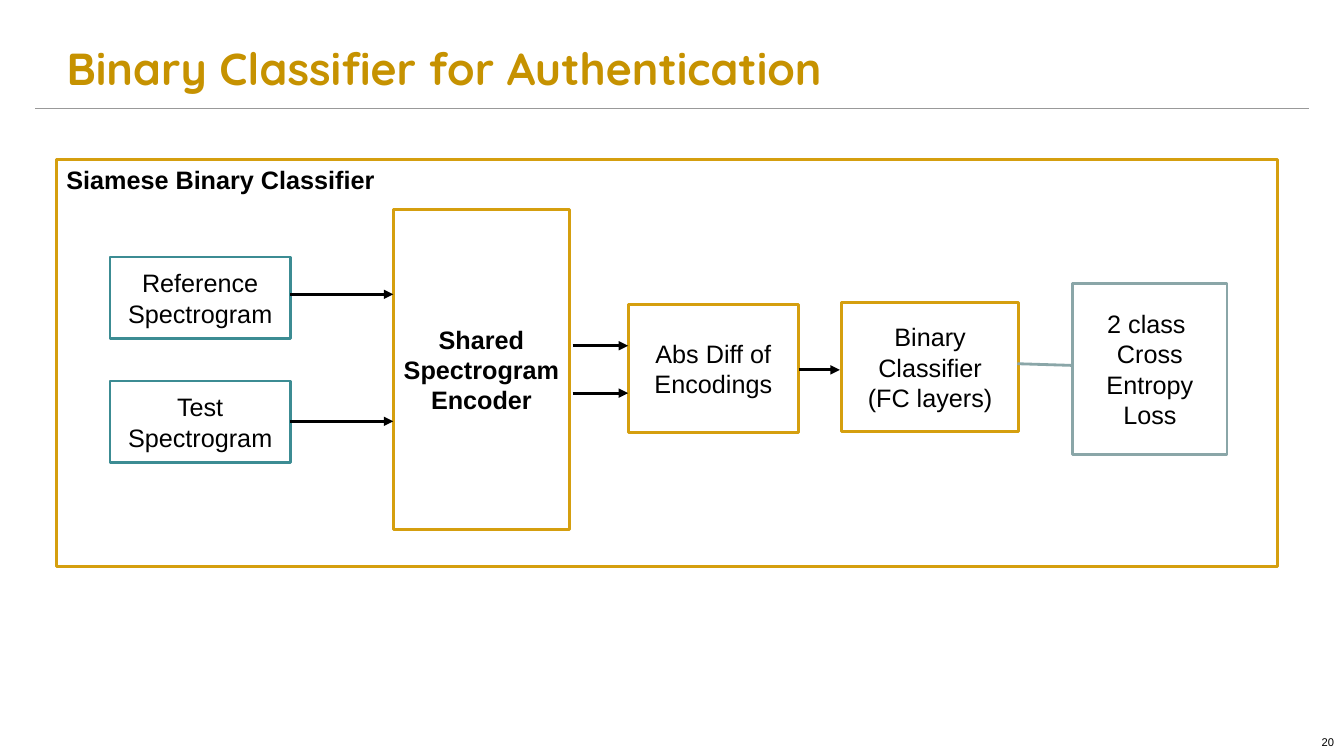
from collections import namedtuple
from dataclasses import dataclass

from lxml import etree
from pptx import Presentation
from pptx import util as u
from pptx.dml.color import RGBColor
from pptx.enum import shapes, text
from pptx.oxml.ns import qn

PX = u.Inches(1) // 100
Box = namedtuple("Box", "left top width height")


@dataclass(frozen=True)
class Theme:
    heading_font: str = "Quicksand"
    body_font: str = "Arial"
    heading: str = "C69200"
    ink: str = "000000"
    paper: str = "FFFFFF"
    rule: str = "999999"
    gold: str = "D59F0F"
    teal: str = "3C8C93"
    grey: str = "8AA6A8"
    heading_size: int = 32
    label_size: int = 18
    number_size: int = 8
    rule_width: float = 0.75
    outline_width: float = 2
    arrow_width: float = 2.25


THEME = Theme()


def colour(code):
    return RGBColor.from_string(code)


def emu(box):
    return [u.Emu(length * PX) for length in box]


def inside(outer, left, top, width, height):
    """Turn a place measured from the corner of outer into a place on the page."""
    return Box(outer.left + left, outer.top + top, width, height)


def write(frame, lines, size, bold=False, align=text.PP_ALIGN.LEFT,
          anchor=text.MSO_ANCHOR.TOP, font=THEME.body_font, ink=THEME.ink, side=10):
    frame.word_wrap = True
    frame.vertical_anchor = anchor
    frame.margin_left = frame.margin_right = u.Emu(side * PX)
    frame.margin_top = frame.margin_bottom = u.Emu(5 * PX)
    for index, line in enumerate(lines):
        para = frame.add_paragraph() if index else frame.paragraphs[0]
        para.alignment = align
        span = para.add_run()
        span.text = line
        span.font.name = font
        span.font.size = u.Pt(size)
        span.font.bold = bold
        span.font.color.rgb = colour(ink)


def outlined(page, box, outline, fill=None, kind=shapes.MSO_SHAPE.RECTANGLE):
    shape = page.shapes.add_shape(kind, *emu(box))
    shape.shadow.inherit = False
    if fill:
        shape.fill.solid()
        shape.fill.fore_color.rgb = colour(fill)
    else:
        shape.fill.background()
    shape.line.color.rgb = colour(outline)
    shape.line.width = u.Pt(THEME.outline_width)
    return shape


def node(page, box, lines, outline, bold=False, kind=shapes.MSO_SHAPE.RECTANGLE):
    shape = outlined(page, box, outline, THEME.paper, kind)
    write(shape.text_frame, lines, THEME.label_size, bold,
          text.PP_ALIGN.CENTER, text.MSO_ANCHOR.MIDDLE, side=8)
    return shape


def level_line(page, start, end, y, ink, width, arrow=False):
    line = page.shapes.add_connector(
        shapes.MSO_CONNECTOR.STRAIGHT, *emu((start, y, end, y)))
    line.line.color.rgb = colour(ink)
    line.line.width = u.Pt(width)
    if arrow:
        etree.SubElement(line.line._get_or_add_ln(), qn("a:tailEnd"), type="triangle")
    etree.SubElement(line._element.spPr, qn("a:effectLst"))


def header(page, box):
    level_line(page, box.left, box.left + box.width, box.top + box.height,
               THEME.rule, THEME.rule_width)
    title = page.shapes.title
    title.left, title.top, title.width, title.height = emu(inside(box, 21, 0, 1211, 64))
    write(title.text_frame, ["Binary Classifier for Authentication"],
          THEME.heading_size, True, anchor=text.MSO_ANCHOR.MIDDLE,
          font=THEME.heading_font, ink=THEME.heading)


def classifier_diagram(page, box):
    frame = outlined(page, box, THEME.gold)
    write(frame.text_frame, ["Siamese Binary Classifier"], THEME.label_size, True)

    node(page, inside(box, 334, 50, 175, 317),
         ["Shared", "Spectrogram Encoder"], THEME.gold, bold=True)
    for name, top in (("Reference", 97), ("Test", 220)):
        node(page, inside(box, 53, top, 179, 81), [name, "Spectrogram"], THEME.teal)
    node(page, inside(box, 567, 144, 169, 127), ["Abs Diff of Encodings"], THEME.gold)
    node(page, inside(box, 779, 142, 175, 128),
         ["Binary Classifier", "(FC layers)"], THEME.gold)

    loss = node(page, inside(box, 1008, 123, 153, 170),
                ["2 class ", "Cross Entropy Loss"], THEME.grey,
                kind=shapes.MSO_SHAPE.LINE_CALLOUT_1)
    for index, share in enumerate((0.48, 0, 0.47, -0.36)):
        loss.adjustments[index] = share

    flows = ((232, 334, 134), (232, 334, 260),
             (512, 567, 185), (512, 567, 232), (736, 777, 209))
    for start, end, y in flows:
        level_line(page, box.left + start, box.left + end, box.top + y,
                   THEME.ink, THEME.arrow_width, arrow=True)


def page_number(page, box):
    number = page.shapes.add_textbox(*emu(box))
    write(number.text_frame, ["20"], THEME.number_size, align=text.PP_ALIGN.RIGHT)


def main():
    deck = Presentation()
    deck.slide_width, deck.slide_height = emu((1333, 750))
    page = deck.slides.add_slide(deck.slide_layouts.get_by_name("Title Only"))
    header(page, Box(35, 35, 1263, 73))
    classifier_diagram(page, Box(56, 158, 1211, 404))
    page_number(page, Box(1144, 725, 189, 25))
    deck.save("out.pptx")


if __name__ == "__main__":
    main()
